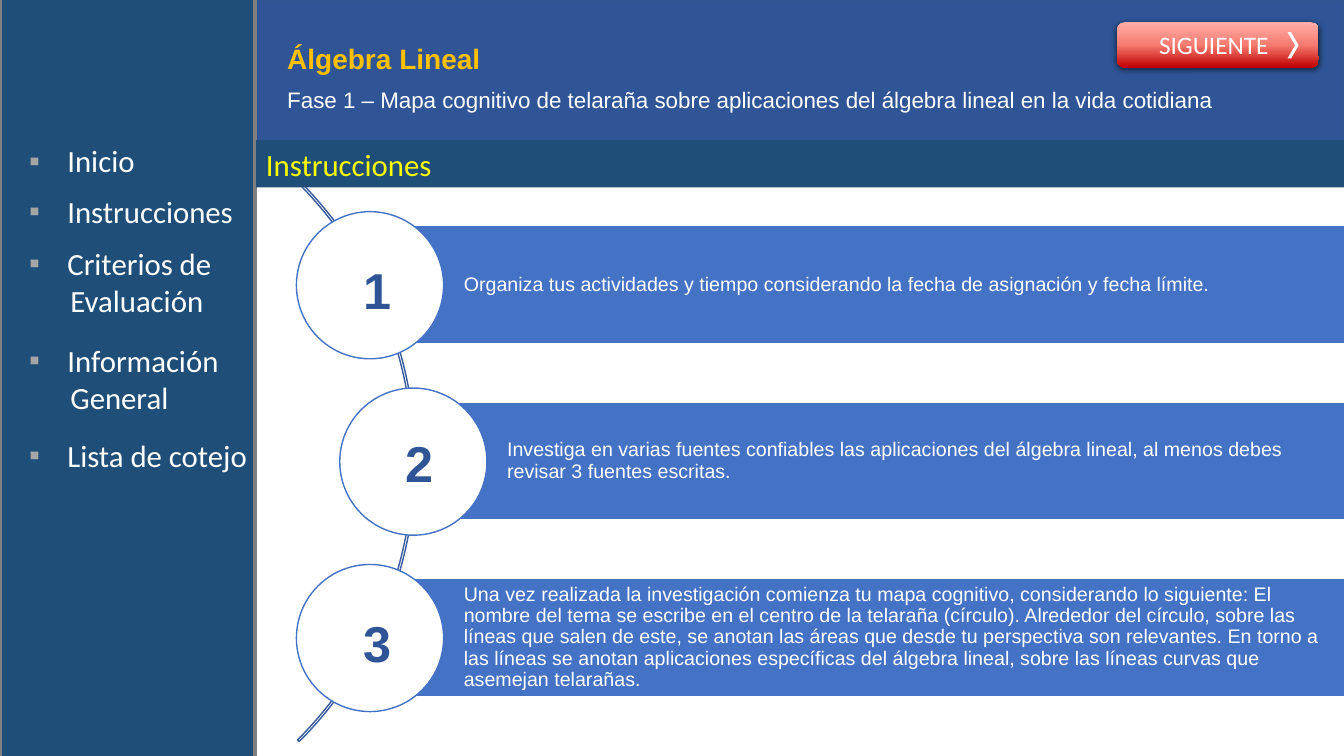
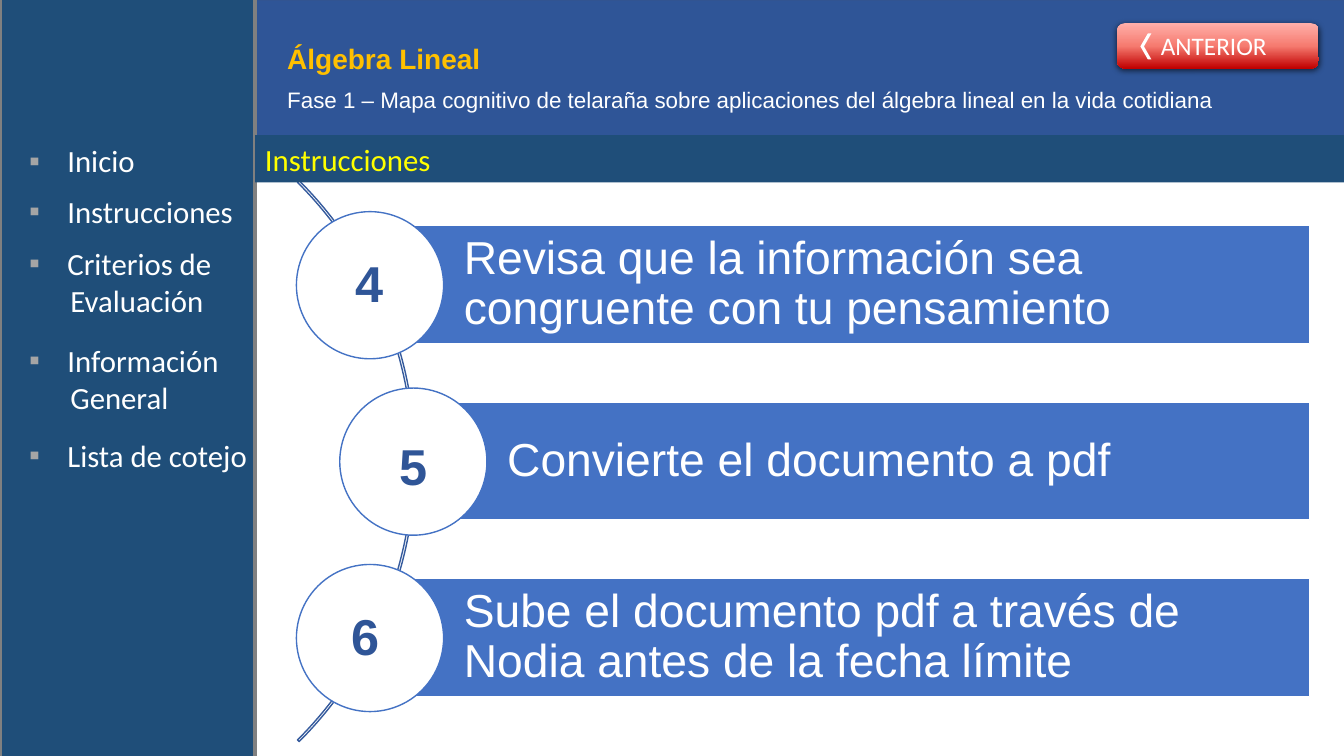
from pptx import Presentation
from pptx.dml.color import RGBColor
from pptx.enum.shapes import MSO_SHAPE
from pptx.enum.text import MSO_ANCHOR, PP_ALIGN
from pptx.oxml import parse_xml
from pptx.oxml.ns import nsdecls, qn
from pptx.util import Emu, Pt

SCALE = 9144
COLORS = {
    "white": "FFFFFF", "header": "2F5597", "header_line": "325491",
    "navy": "1F4E79", "gray": "808080", "bullet": "A5A5A5",
    "gold": "FFC000", "yellow": "FFFF00", "bar": "4472C4", "arc": "365B9D",
    "button_top": "FFAFA9", "button_middle": "F67B70", "button_bottom": "C00000",
    "shadow": "000000",
}
BUTTON_STOPS = [(0, "button_top"), (50, "button_middle"), (100, "button_bottom")]
MENU = [
    (136, ["Inicio"]),
    (186, ["Instrucciones"]),
    (238, ["Criterios de", "Evaluación"]),
    (334, ["Información", "General"]),
    (428, ["Lista de cotejo"]),
]
STEP_LEFTS = [294, 337, 294]
STEP_TOP, STEP_PITCH, CIRCLE, BAR_HEIGHT = 210, 175, 146, 117
SLIDES = [
    {
        "band": (254, 139), "bar_right": 1336, "size": 14, "inset": 4,
        "button": ("SIGUIENTE", 22, 1277, 0),
        "steps": [
            ("1", (351, 252), "Organiza tus actividades y tiempo considerando la fecha de "
             "asignación y fecha límite."),
            ("2", (392, 424), "Investiga en varias fuentes confiables las aplicaciones del "
             "álgebra lineal, al menos debes revisar 3 fuentes escritas."),
            ("3", (351, 602), "Una vez realizada la investigación comienza tu mapa cognitivo, "
             "considerando lo siguiente: El nombre del tema se escribe en el centro de la "
             "telaraña (círculo). Alrededor del círculo, sobre las líneas que salen de este, "
             "se anotan las áreas que desde tu perspectiva son relevantes. En torno a las "
             "líneas se anotan aplicaciones específicas del álgebra lineal, sobre las líneas "
             "curvas que asemejan telarañas."),
        ],
    },
    {
        "band": (253, 134), "bar_right": 1299, "size": 33, "inset": 9,
        "button": ("ANTERIOR", 23, 1131, 180),
        "steps": [
            ("4", (343, 245), "Revisa que la información sea congruente con tu pensamiento"),
            ("5", (386, 427), "Convierte el documento a pdf"),
            ("6", (339, 595), "Sube el documento pdf a través de Nodia antes de la fecha límite"),
        ],
    },
]


class Deck:
    """Holds the style and the current slide, and draws each kind of element."""

    def __init__(self):
        self.presentation = Presentation()
        self.presentation.slide_width = Emu(1333 * SCALE)
        self.presentation.slide_height = Emu(750 * SCALE)
        self.slide = None

    def new_slide(self):
        self.slide = self.presentation.slides.add_slide(self.presentation.slide_layouts[6])

    def color(self, name):
        return RGBColor.from_string(COLORS[name])

    def box(self, *lengths):
        return [Emu(length * SCALE) for length in lengths]

    def shape(self, kind, bounds, fill=None, line=None, width=1):
        shape = self.slide.shapes.add_shape(kind, *self.box(*bounds))
        shape.shadow.inherit = False
        if fill:
            shape.fill.solid()
            shape.fill.fore_color.rgb = self.color(fill)
        else:
            shape.fill.background()
        if line:
            shape.line.color.rgb = self.color(line)
            shape.line.width = Pt(width)
        else:
            shape.line.fill.background()
        return shape

    def set_text(self, shape, text, size, color="white", font="Calibri", bold=False,
                 spacing=None, align=PP_ALIGN.LEFT, insets=(10, 5, 10, 5)):
        frame = shape.text_frame
        frame.word_wrap = True
        (frame.margin_left, frame.margin_top,
         frame.margin_right, frame.margin_bottom) = self.box(*insets)
        frame.text = text
        for paragraph in frame.paragraphs:
            paragraph.alignment = align
            paragraph.line_spacing = spacing
            for run in paragraph.runs:
                run.font.name = font
                run.font.size = Pt(size)
                run.font.bold = bold
                run.font.color.rgb = self.color(color)

    def text(self, bounds, text, size, **style):
        shape = self.slide.shapes.add_textbox(*self.box(*bounds))
        self.set_text(shape, text, size, **style)
        return shape

    def menu_item(self, top, lines):
        shape = self.text((19, top, 250, 10 + 37 * len(lines)), "\n".join(lines), 22)
        first, *others = shape.text_frame.paragraphs
        properties = first._p.get_or_add_pPr()
        properties.set("marL", str(38 * SCALE))
        properties.set("indent", str(-38 * SCALE))
        for xml in (f'<a:buClr {nsdecls("a")}><a:srgbClr val="{COLORS["bullet"]}"/></a:buClr>',
                    f'<a:buFont {nsdecls("a")} typeface="Arial"/>',
                    f'<a:buChar {nsdecls("a")} char="▪"/>'):
            properties.append(parse_xml(xml))
        for paragraph in others:
            paragraph._p.get_or_add_pPr().set("marL", str(41 * SCALE))

    def frame(self):
        self.shape(MSO_SHAPE.RECTANGLE, (242, 0, 1091, 144), "header", "header_line")
        self.shape(MSO_SHAPE.RECTANGLE, (0, -6, 253, 762), "navy", "gray", 2.25)
        self.text((275, 40, 967, 41), "Álgebra Lineal", 20, color="gold", font="Arial",
                  bold=True, spacing=0.9)
        self.text((275, 84, 968, 38), "Fase 1 – Mapa cognitivo de telaraña sobre aplicaciones "
                  "del álgebra lineal en la vida cotidiana", 16, font="Arial", spacing=0.9)
        for top, lines in MENU:
            self.menu_item(top, lines)

    def arc(self):
        arc = self.shape(MSO_SHAPE.BLOCK_ARC, (-375, 64, 787, 787), line="arc")
        for index, value in enumerate((189, 27, 0.003)):
            arc.adjustments[index] = value

    def step(self, index, number, number_place, text, right, size, inset):
        left, top = STEP_LEFTS[index], STEP_TOP + index * STEP_PITCH
        bar_left = left + CIRCLE // 2
        bar = self.shape(MSO_SHAPE.RECTANGLE,
                         (bar_left, top + 14, right - bar_left, BAR_HEIGHT), "bar", "white")
        bar.text_frame.vertical_anchor = MSO_ANCHOR.MIDDLE
        self.set_text(bar, text, size, font="Arial", spacing=0.9,
                      insets=(93, inset, inset, inset))
        self.shape(MSO_SHAPE.OVAL, (left, top, CIRCLE, CIRCLE), "white", "bar")
        self.text((*number_place, 40, 71), number, 36, color="header", font="Arial", bold=True)

    def band(self, left, top):
        band = self.shape(MSO_SHAPE.RECTANGLE, (left, top, 1080, 47), "navy")
        self.set_text(band, "Instrucciones", 22, color="yellow")

    def button(self, label, top, chevron_left, rotation):
        button = self.shape(MSO_SHAPE.ROUNDED_RECTANGLE, (1108, top, 200, 45))
        properties = button._element.spPr
        stops = "".join(f'<a:gs pos="{position * 1000}"><a:srgbClr val="{COLORS[name]}"/></a:gs>'
                        for position, name in BUTTON_STOPS)
        properties.replace(properties.find(qn("a:noFill")), parse_xml(
            f'<a:gradFill {nsdecls("a")}><a:gsLst>{stops}</a:gsLst>'
            '<a:lin ang="5400000" scaled="0"/></a:gradFill>'))
        properties.find(qn("a:effectLst")).append(parse_xml(
            f'<a:outerShdw {nsdecls("a")} blurRad="{Pt(4.5)}" dist="{Pt(1.5)}" dir="5400000" '
            f'rotWithShape="0"><a:srgbClr val="{COLORS["shadow"]}"><a:alpha val="63000"/>'
            '</a:srgbClr></a:outerShdw>'))
        self.set_text(button, label, 18, align=PP_ALIGN.CENTER, insets=(10, 5, 18, 5))
        chevron = self.shape(MSO_SHAPE.CHEVRON, (chevron_left, top + 10, 11, 26), "white")
        chevron.adjustments[0] = 0.68
        chevron.rotation = rotation


def main():
    deck = Deck()
    for content in SLIDES:
        deck.new_slide()
        deck.frame()
        deck.arc()
        for index, (number, place, text) in enumerate(content["steps"]):
            deck.step(index, number, place, text, content["bar_right"],
                      content["size"], content["inset"])
        deck.band(*content["band"])
        deck.button(*content["button"])
    deck.presentation.save("out.pptx")


if __name__ == "__main__":
    main()
